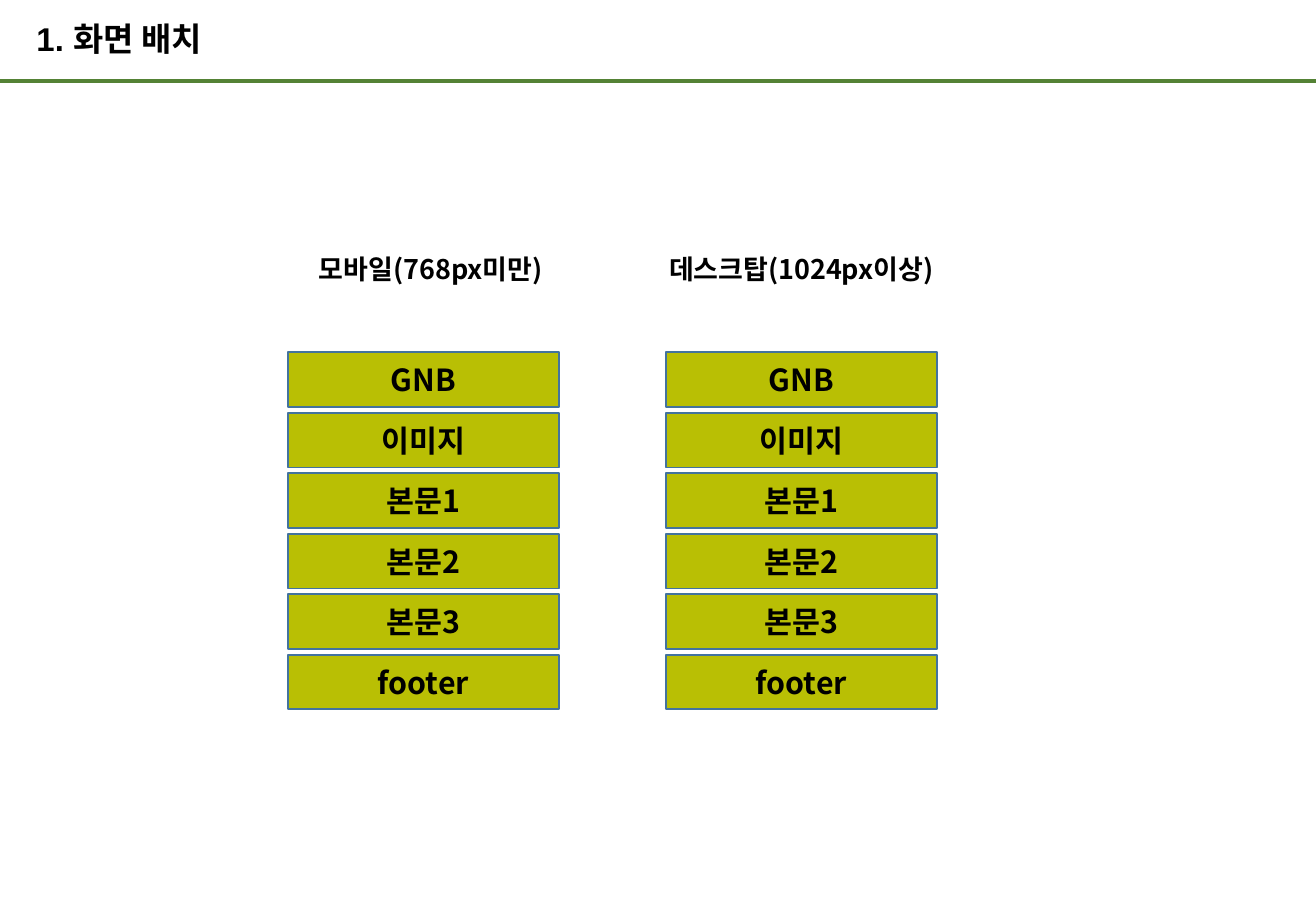
import pptx
import pptx.dml.color
import pptx.enum.shapes
import pptx.enum.text
import pptx.oxml.ns
import pptx.util
from lxml import etree

Inches = pptx.util.Inches
Pt = pptx.util.Pt
ALIGN = pptx.enum.text.PP_ALIGN

KOREAN_FONT = "Noto Sans CJK KR"
SLIDE_WIDTH = 10.83
SECTIONS = ["GNB", "이미지", "본문1", "본문2", "본문3", "footer"]
SECTION_TOP, SECTION_PITCH = 2.9, 0.498
SECTION_WIDTH, SECTION_HEIGHT = 2.23, 0.45


def color(hex_value):
    return pptx.dml.color.RGBColor.from_string(hex_value)


def write_text(frame, text, size=18, font=KOREAN_FONT, align=ALIGN.CENTER,
               line_spacing=None, margin=None):
    frame.word_wrap = True
    frame.vertical_anchor = pptx.enum.text.MSO_ANCHOR.MIDDLE
    if margin is not None:
        frame.margin_left = frame.margin_right = Inches(margin)
        frame.margin_top = frame.margin_bottom = Inches(margin)
    paragraph = frame.paragraphs[0]
    paragraph.alignment = align
    paragraph.line_spacing = line_spacing
    run = paragraph.add_run()
    run.text = text
    run.font.size = Pt(size)
    run.font.bold = True
    run.font.name = font
    run.font.color.rgb = color("000000")
    # Korean glyphs take their typeface from the East Asian font
    east_asian = etree.SubElement(run.font._element, pptx.oxml.ns.qn("a:ea"))
    east_asian.set("typeface", KOREAN_FONT)


def add_label(slide, text, left, top, width, height, **text_format):
    label = slide.shapes.add_textbox(
        Inches(left), Inches(top), Inches(width), Inches(height))
    write_text(label.text_frame, text, **text_format)


def add_section(slide, text, left, top):
    section = slide.shapes.add_shape(
        pptx.enum.shapes.MSO_SHAPE.RECTANGLE, Inches(left), Inches(top),
        Inches(SECTION_WIDTH), Inches(SECTION_HEIGHT))
    section.shadow.inherit = False
    section.fill.solid()
    section.fill.fore_color.rgb = color("B9BF04")
    section.line.color.rgb = color("43739E")
    section.line.width = Pt(1)
    write_text(section.text_frame, text)


def add_header_rule(slide, top):
    rule = slide.shapes.add_connector(
        pptx.enum.shapes.MSO_CONNECTOR.STRAIGHT,
        Inches(0), Inches(top), Inches(SLIDE_WIDTH), Inches(top))
    rule.line.color.rgb = color("548235")
    rule.line.width = Pt(2.25)
    etree.SubElement(rule._element.spPr, pptx.oxml.ns.qn("a:effectLst"))


def add_screen(slide, heading, heading_left, heading_width, sections_left):
    add_label(slide, heading, heading_left, 2.01, heading_width, 0.4, size=16)
    for row, name in enumerate(SECTIONS):
        add_section(slide, name, sections_left, SECTION_TOP + row * SECTION_PITCH)


def main():
    deck = pptx.Presentation()
    deck.slide_width = Inches(SLIDE_WIDTH)
    deck.slide_height = Inches(7.5)
    slide = deck.slides.add_slide(deck.slide_layouts[6])

    # Header
    add_header_rule(slide, 0.67)
    add_label(slide, "1. 화면 배치", 0.3, 0, 7.09, 0.68, size=19.5, font="Arial",
              align=ALIGN.LEFT, line_spacing=0.9, margin=0)

    # Screen layouts
    add_screen(slide, "모바일(768px미만)", 2.37, 2.35, 2.37)
    add_screen(slide, "데스크탑(1024px이상)", 5.38, 2.43, 5.48)

    deck.save("out.pptx")


if __name__ == "__main__":
    main()
